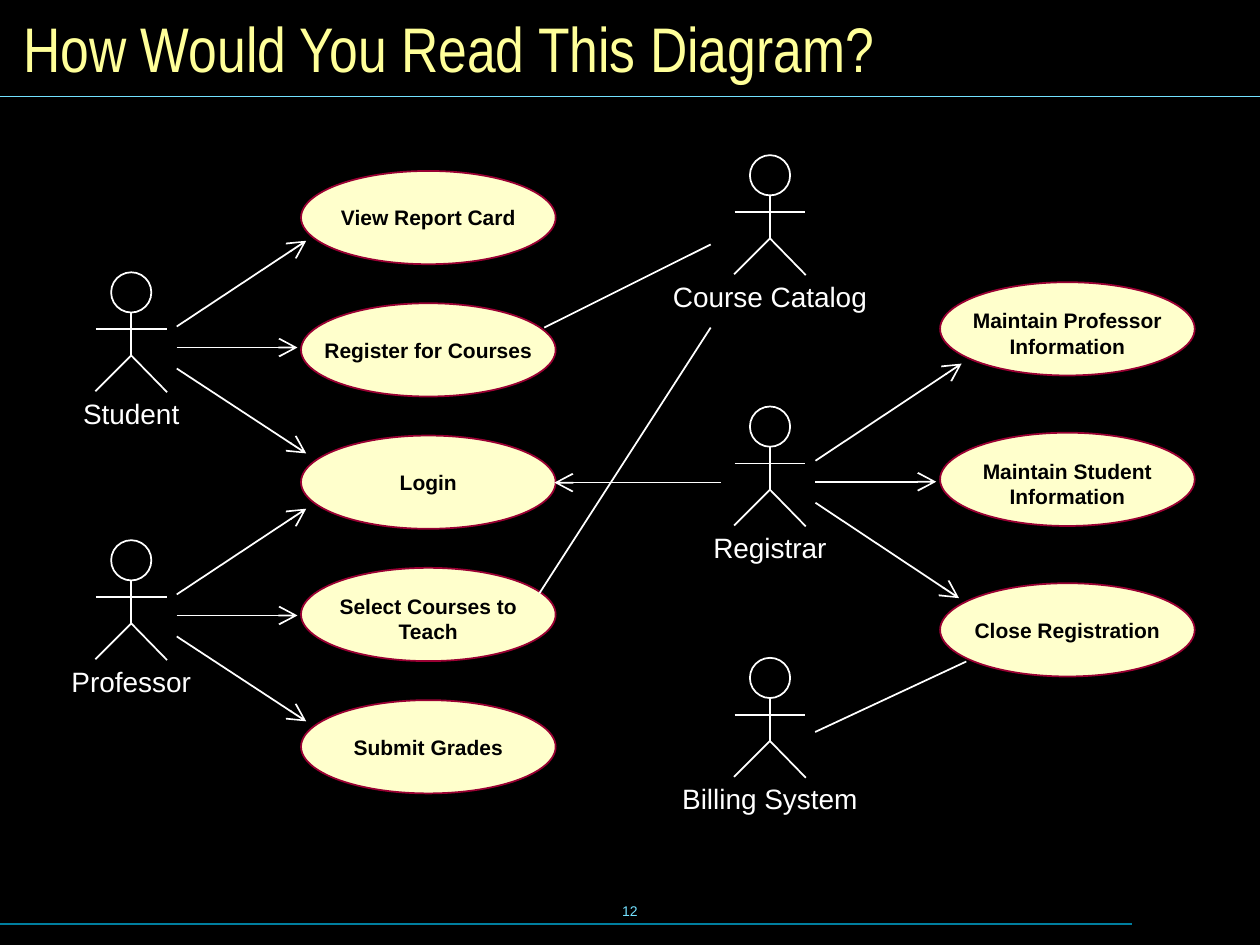
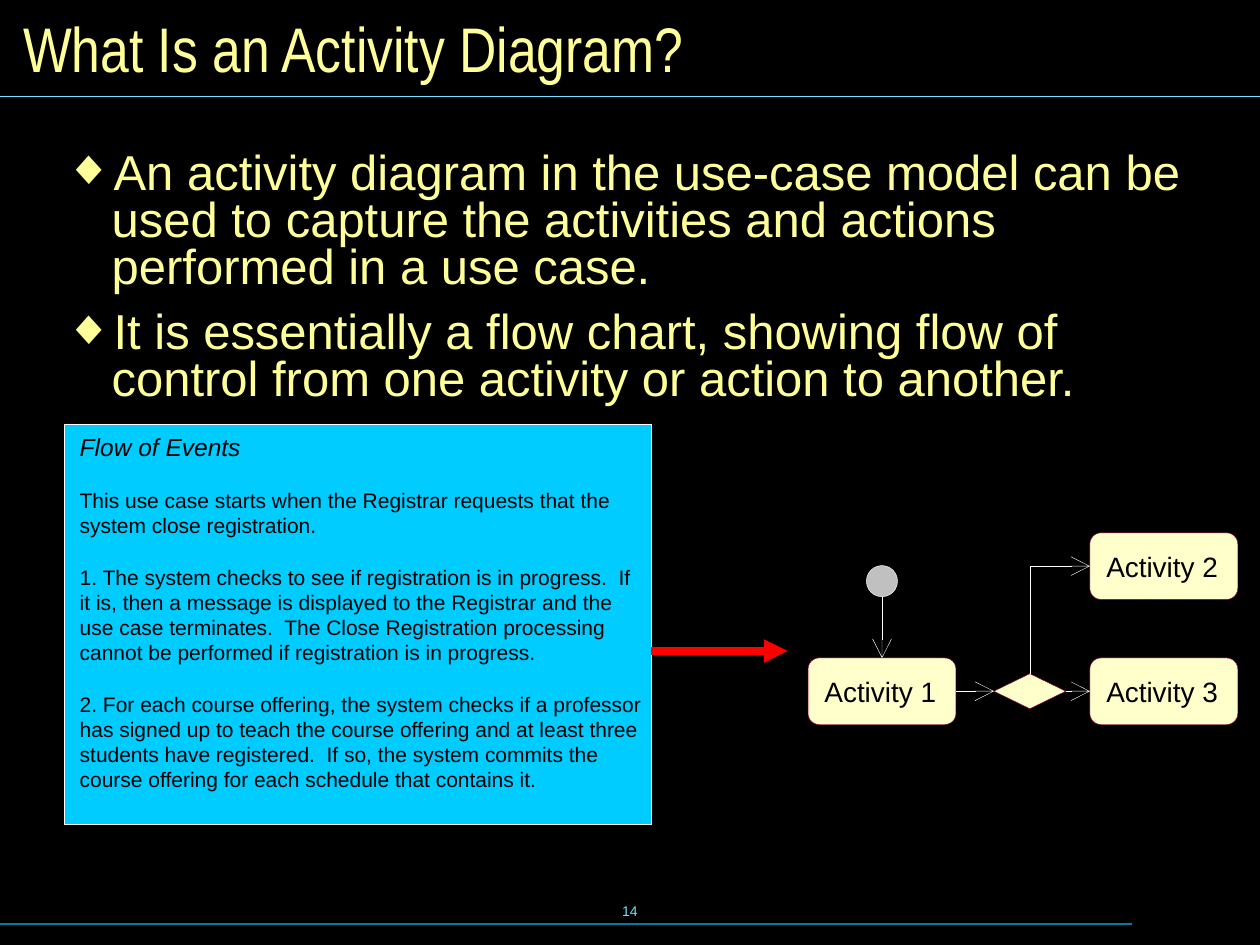
from dataclasses import dataclass
from typing import NamedTuple, Optional

import lxml.etree
import pptx
import pptx.dml.color
import pptx.enum.dml
import pptx.enum.shapes
import pptx.enum.text
import pptx.oxml.ns
import pptx.shapes.autoshape
import pptx.shapes.connector
import pptx.slide
import pptx.text.text
import pptx.util

Pt = pptx.util.Pt
RGBColor = pptx.dml.color.RGBColor
PRESET = pptx.enum.shapes.MSO_SHAPE
ALIGN = pptx.enum.text.PP_ALIGN
ANCHOR = pptx.enum.text.MSO_ANCHOR
qn = pptx.oxml.ns.qn

BLACK = RGBColor(0x00, 0x00, 0x00)
WHITE = RGBColor(0xFF, 0xFF, 0xFF)
YELLOW = RGBColor(0xFF, 0xFF, 0x99)
CREAM = RGBColor(0xFF, 0xFF, 0xCC)
CRIMSON = RGBColor(0x99, 0x00, 0x33)
SKY = RGBColor(0x73, 0xE1, 0xFF)
TEAL = RGBColor(0x00, 0x7E, 0x9F)
CYAN = RGBColor(0x00, 0xCC, 0xFF)
SILVER = RGBColor(0xC0, 0xC0, 0xC0)
RED = RGBColor(0xFF, 0x00, 0x00)

BODY_FONT = "Arial"
TITLE_FONT = "Arial Narrow"
HAIRLINE = 0.25


class Point(NamedTuple):
    x: float
    y: float


class Box(NamedTuple):
    left: float
    top: float
    width: float
    height: float


class Arrowhead(NamedTuple):
    kind: str
    size: str


OPEN_HEAD = Arrowhead("arrow", "lg")
SOLID_HEAD = Arrowhead("triangle", "med")


@dataclass(frozen=True)
class TextStyle:
    size: float
    color: RGBColor
    font: str = BODY_FONT
    bold: bool = False
    italic: bool = False
    align: ALIGN = ALIGN.LEFT


@dataclass(frozen=True)
class UseCase:
    left: float
    top: float
    lines: tuple[str, ...]


@dataclass(frozen=True)
class Actor:
    name: str
    center: float
    top: float
    arrow_tips: tuple[Point, ...] = ()  # measured from the top of the head


TITLE = TextStyle(36, YELLOW, TITLE_FONT)
PAGE_NUMBER = TextStyle(8, SKY, align=ALIGN.CENTER)
USE_CASE = TextStyle(12, BLACK, bold=True, align=ALIGN.CENTER)
ACTOR = TextStyle(16, WHITE, align=ALIGN.CENTER)
BULLET = TextStyle(28, YELLOW)
FLOW_HEADING = TextStyle(14, BLACK, italic=True)
FLOW_STEP = TextStyle(12, BLACK)
ACTIVITY = TextStyle(16, BLACK)

USE_CASE_WIDTH, USE_CASE_HEIGHT = 145.5, 53.3
LEFT_CASES = (
    ("View Report Card",), ("Register for Courses",), ("Login",),
    ("Select Courses to", "Teach"), ("Submit Grades",),
)
RIGHT_CASES = (
    ("Maintain Professor", "Information"), ("Maintain Student", "Information"),
    ("Close Registration",),
)
USE_CASES = (
    [UseCase(172, 97.7 + 75.6 * row, lines) for row, lines in enumerate(LEFT_CASES)]
    + [UseCase(537.2, 161.3 + 86 * row, lines) for row, lines in enumerate(RIGHT_CASES)]
)

ARROW_STARTS = (Point(26, 31), Point(26, 43), Point(26, 55))
LEFT_TIPS = (Point(100, -18), Point(95, 43), Point(100, 103.5))
REGISTRAR_TIPS = (Point(109.5, -24.5), Point(95, 43), Point(108, 109.5))
ACTORS = (
    Actor("Student", 75, 155.6, LEFT_TIPS),
    Actor("Professor", 75, 308.7, LEFT_TIPS),
    Actor("Course Catalog", 440, 88.7),
    Actor("Registrar", 440, 232.3, REGISTRAR_TIPS),
    Actor("Billing System", 440, 375.9),
)
PLAIN_LINKS = (
    (Point(308.2, 339.1), Point(406.1, 187.2)),
    (Point(311, 187.2), Point(406.1, 139.7)),
    (Point(465.8, 418.3), Point(552.2, 378)),
)

BULLETS = (
    "An activity diagram in the use-case model can be used to capture the "
    "activities and actions performed in a use case.",
    "It is essentially a flow chart, showing flow of control from one activity "
    "or action to another.",
)
FLOW_STEPS = (
    "This use case starts when the Registrar requests that the system close registration.",
    "1. The system checks to see if registration is in progress.  If it is, then a "
    "message is displayed to the Registrar and the use case terminates.  The Close "
    "Registration processing cannot be performed if registration is in progress.",
    "2. For each course offering, the system checks if a professor has signed up to "
    "teach the course offering and at least three students have registered.  If so, "
    "the system commits the course offering for each schedule that contains it.",
)


def emu(box: Box) -> list[pptx.util.Length]:
    return [Pt(length) for length in box]


def set_frame(frame: pptx.text.text.TextFrame, margins: tuple[float, float, float, float],
              anchor: ANCHOR, wrap: bool) -> None:
    """Margins are left, top, right, bottom."""
    frame.auto_size = pptx.enum.text.MSO_AUTO_SIZE.NONE
    frame.word_wrap = wrap
    frame.vertical_anchor = anchor
    (frame.margin_left, frame.margin_top,
     frame.margin_right, frame.margin_bottom) = (Pt(margin) for margin in margins)


def write(paragraph: pptx.text.text._Paragraph, text: str, style: TextStyle) -> None:
    paragraph.alignment = style.align
    run = paragraph.add_run()
    run.text = text
    run.font.name = style.font
    run.font.size = Pt(style.size)
    run.font.bold = style.bold
    run.font.italic = style.italic
    run.font.color.rgb = style.color


def write_all(frame: pptx.text.text.TextFrame, texts: tuple[str, ...],
              style: TextStyle) -> None:
    for index, text in enumerate(texts):
        write(frame.add_paragraph() if index else frame.paragraphs[0], text, style)


def add_label(slide: pptx.slide.Slide, box: Box, text: str, style: TextStyle) -> None:
    frame = slide.shapes.add_textbox(*emu(box)).text_frame
    set_frame(frame, (0, 0, 0, 0), ANCHOR.MIDDLE, False)
    write(frame.paragraphs[0], text, style)


def add_preset(slide: pptx.slide.Slide, preset: PRESET, box: Box, fill: Optional[RGBColor],
               outline: RGBColor, weight: float) -> pptx.shapes.autoshape.Shape:
    shape = slide.shapes.add_shape(preset, *emu(box))
    shape.shadow.inherit = False
    if fill is None:
        shape.fill.background()
    else:
        shape.fill.solid()
        shape.fill.fore_color.rgb = fill
    shape.line.color.rgb = outline
    shape.line.width = Pt(weight)
    return shape


def add_line(slide: pptx.slide.Slide, start: Point, end: Point, color: RGBColor = WHITE,
             weight: float = 1,
             head: Optional[Arrowhead] = None) -> pptx.shapes.connector.Connector:
    line = slide.shapes.add_connector(
        pptx.enum.shapes.MSO_CONNECTOR.STRAIGHT, Pt(start.x), Pt(start.y), Pt(end.x), Pt(end.y))
    line.line.color.rgb = color
    line.line.width = Pt(weight)
    properties = line.element.spPr
    if head:
        lxml.etree.SubElement(properties.find(qn("a:ln")), qn("a:tailEnd"),
                              type=head.kind, w=head.size, len=head.size)
    lxml.etree.SubElement(properties, qn("a:effectLst"))
    return line


def add_titled_slide(deck: pptx.presentation.Presentation, title: str,
                     number: int) -> pptx.slide.Slide:
    """Add a slide with the shared title, rules and page number."""
    slide = deck.slides.add_slide(deck.slide_layouts.get_by_name("Title Only"))
    heading = slide.shapes.title
    heading.left, heading.top, heading.width, heading.height = emu(Box(6, 6, 708, 42))
    set_frame(heading.text_frame, (7.2, 3.6, 7.2, 3.6), ANCHOR.MIDDLE, True)
    write(heading.text_frame.paragraphs[0], title, TITLE)
    add_line(slide, Point(0, 55), Point(720, 55), SKY, 0.75)
    add_line(slide, Point(0, 528), Point(647, 528), TEAL, 0.75)
    add_label(slide, Box(246, 502.5, 228, 36), str(number), PAGE_NUMBER)
    return slide


def draw_use_case(slide: pptx.slide.Slide, case: UseCase) -> None:
    box = Box(case.left, case.top, USE_CASE_WIDTH, USE_CASE_HEIGHT)
    frame = add_preset(slide, PRESET.OVAL, box, CREAM, CRIMSON, 1).text_frame
    set_frame(frame, (0, 5 if len(case.lines) > 1 else 0, 0, 0), ANCHOR.MIDDLE, False)
    write_all(frame, case.lines, USE_CASE)


def draw_actor(slide: pptx.slide.Slide, actor: Actor) -> None:
    """Draw a stick figure, its name and its fan of arrows."""
    def place(offset: Point) -> Point:
        return Point(actor.center + offset.x, actor.top + offset.y)

    add_preset(slide, PRESET.OVAL, Box(actor.center - 11.5, actor.top, 23, 23), None, WHITE, 1)
    add_line(slide, place(Point(0, 23)), place(Point(0, 47.5)))
    add_line(slide, place(Point(-20.25, 32.5)), place(Point(20.25, 32.5)))
    left_foot, hip, right_foot = (
        [Pt(length) for length in place(joint)]
        for joint in (Point(-20.5, 68), Point(0, 47.5), Point(20.5, 68.5)))
    outline = slide.shapes.build_freeform(*left_foot)
    outline.add_line_segments([hip, right_foot], close=False)
    legs = outline.convert_to_shape()
    legs.shadow.inherit = False
    legs.fill.background()
    legs.line.color.rgb = WHITE
    legs.line.width = Pt(1)
    add_label(slide, Box(actor.center - 64, actor.top + 66.5, 128, 28), actor.name, ACTOR)
    for start, tip in zip(ARROW_STARTS, actor.arrow_tips):
        add_line(slide, place(start), place(tip), head=OPEN_HEAD)


def draw_activity(slide: pptx.slide.Slide, box: Box, name: str) -> pptx.shapes.autoshape.Shape:
    activity = add_preset(slide, PRESET.ROUNDED_RECTANGLE, box, CREAM, CRIMSON, HAIRLINE)
    set_frame(activity.text_frame, (7.5, 0, 0, 0), ANCHOR.MIDDLE, False)
    write(activity.text_frame.paragraphs[0], name, ACTIVITY)
    return activity


def draw_use_case_diagram(slide: pptx.slide.Slide) -> None:
    for case in USE_CASES:
        draw_use_case(slide, case)
    for actor in ACTORS:
        draw_actor(slide, actor)
    for start, end in PLAIN_LINKS:
        add_line(slide, start, end)
    add_line(slide, Point(411.8, 275.8), Point(316.8, 275.8), head=OPEN_HEAD)


def draw_bullets(slide: pptx.slide.Slide) -> None:
    frame = slide.shapes.add_textbox(*emu(Box(28.5, 82.8, 669, 175))).text_frame
    set_frame(frame, (8.64, 4.32, 8.64, 4.32), ANCHOR.TOP, True)
    write_all(frame, BULLETS, BULLET)
    for paragraph in frame.paragraphs:
        paragraph.line_spacing = 0.8
        paragraph.space_before = Pt(10.5)
        properties = paragraph._p.get_or_add_pPr()
        properties.set("marL", str(Pt(26.7)))
        properties.set("indent", str(-Pt(26.7)))
        color = lxml.etree.SubElement(properties, qn("a:buClr"))
        lxml.etree.SubElement(color, qn("a:srgbClr"), val=str(YELLOW))
        lxml.etree.SubElement(properties, qn("a:buFont"), typeface=BODY_FONT)
        lxml.etree.SubElement(properties, qn("a:buChar"), char="◆")


def draw_flow_of_events(slide: pptx.slide.Slide) -> None:
    box = Box(36.9, 242.6, 335.3, 228.7)
    frame = add_preset(slide, PRESET.RECTANGLE, box, CYAN, WHITE, 0.75).text_frame
    set_frame(frame, (8.64, 4.32, 4.32, 4.32), ANCHOR.TOP, True)
    write(frame.paragraphs[0], "Flow of Events", FLOW_HEADING)
    for step in FLOW_STEPS:
        write(frame.add_paragraph(), step, FLOW_STEP)
    for paragraph in frame.paragraphs:
        paragraph.space_before = Pt(12)
        paragraph.space_after = Pt(3)
    add_line(slide, Point(372.2, 372), Point(450, 372), RED, 4.5, SOLID_HEAD)


def draw_activity_diagram(slide: pptx.slide.Slide) -> None:
    add_preset(slide, PRESET.OVAL, Box(495.1, 323.2, 17.8, 17.8), SILVER, WHITE, HAIRLINE)
    first = draw_activity(slide, Box(461.75, 376, 84.5, 38), "Activity 1")
    second = draw_activity(slide, Box(622.8, 304.5, 84.5, 38), "Activity 2")
    third = draw_activity(slide, Box(622.8, 376, 84.5, 38), "Activity 3")
    decision = add_preset(slide, PRESET.DIAMOND, Box(568, 385, 41, 20), CREAM, CRIMSON, HAIRLINE)

    start, turn = Point(504, 341), Point(588.5, 323.5)
    flows = (
        (start, None, (first, 0), OPEN_HEAD),
        (turn, (first, 3), (decision, 1), OPEN_HEAD),
        (turn, (decision, 3), (third, 1), OPEN_HEAD),
        (turn, None, (decision, 0), None),
        (turn, None, (second, 1), OPEN_HEAD),
    )
    for origin, source, target, head in flows:
        flow = add_line(slide, origin, origin, WHITE, HAIRLINE, head)
        if source:
            flow.begin_connect(*source)
        flow.end_connect(*target)


def main() -> None:
    deck = pptx.Presentation()
    deck.slide_width, deck.slide_height = Pt(720), Pt(540)
    background = deck.slide_master.background.fill
    background.solid()
    background.fore_color.rgb = BLACK

    draw_use_case_diagram(add_titled_slide(deck, "How Would You Read This Diagram?", 12))
    activity_slide = add_titled_slide(deck, "What Is an Activity Diagram?", 14)
    draw_bullets(activity_slide)
    draw_flow_of_events(activity_slide)
    draw_activity_diagram(activity_slide)
    deck.save("out.pptx")


if __name__ == "__main__":
    main()
